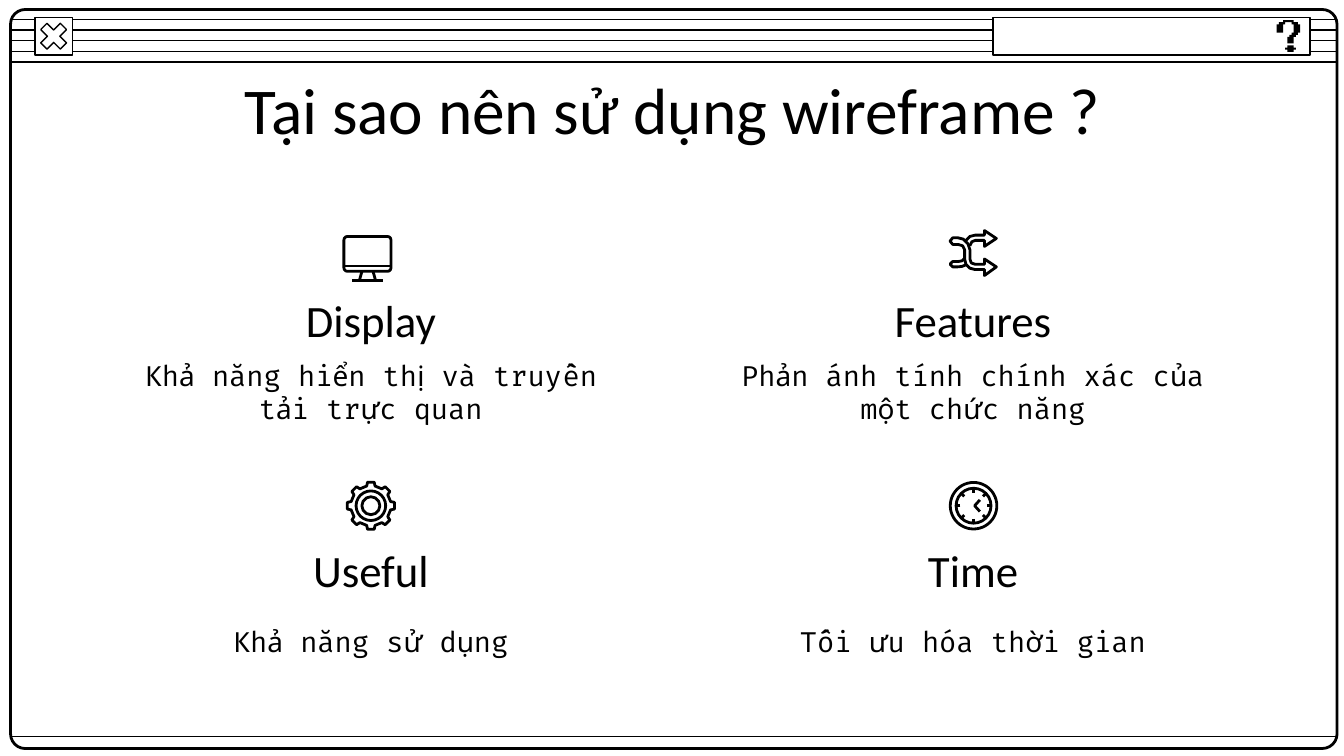
from math import cos, radians, sin

from lxml import etree
from pptx import Presentation
from pptx.dml.color import RGBColor
from pptx.enum.shapes import MSO_CONNECTOR, MSO_SHAPE
from pptx.enum.text import MSO_ANCHOR, MSO_AUTO_SIZE, PP_ALIGN
from pptx.oxml.ns import qn
from pptx.util import Cm, Pt

RECTANGLE = MSO_SHAPE.RECTANGLE
ROUNDED = MSO_SHAPE.ROUNDED_RECTANGLE
OVAL = MSO_SHAPE.OVAL
CROSS = MSO_SHAPE.MATH_MULTIPLY
STRAIGHT = MSO_CONNECTOR.STRAIGHT
CENTER = PP_ALIGN.CENTER
MIDDLE = MSO_ANCHOR.MIDDLE
FIXED_SIZE = MSO_AUTO_SIZE.NONE

BLACK = "000000"
WHITE = "FFFFFF"
HEADING_FONT = "Calibri"
BODY_FONT = "Fira Code"
THIN = 0.75
THICK = 1.5

# Pixel question mark, in pixels
QUESTION_HOOK = [
    (3, 0), (3, 1), (1, 1), (1, 2), (0, 2), (0, 6), (3, 6), (3, 2),
    (4, 2), (4, 1), (7, 1), (7, 2), (8, 2), (8, 6), (7, 6), (7, 7),
    (6, 7), (6, 8), (5, 8), (5, 11), (8, 11), (8, 8), (9, 8), (9, 7),
    (10, 7), (10, 6), (11, 6), (11, 2), (10, 2), (10, 1), (8, 1), (8, 0),
]
QUESTION_DOT = [
    (5, 12), (5, 13), (4, 13), (4, 14), (5, 14), (5, 15),
    (8, 15), (8, 14), (9, 14), (9, 13), (8, 13), (8, 12),
]

# Crossing arrows, in fortieths of a centimetre
FALLING_ARROW = [
    (3, 7), (7, 7), (11, 8), (14.5, 11.5), (16, 16), (16, 23), (17, 26),
    (20, 27), (27, 27), (27, 23), (36, 29), (27, 35.5), (27, 31), (20, 31),
    (16, 30), (13, 27), (12, 23), (12, 16), (10.5, 13), (7, 12), (3, 12),
    (1, 9.5),
]
RISING_HEAD = [
    (13, 9), (16, 6), (20, 5), (27, 5), (27, 1.5), (36, 7.5), (27, 13.5),
    (27, 9), (20, 9), (17.5, 10), (16, 13),
]
RISING_TAIL = [
    (11.5, 23), (10, 24.5), (7, 25), (3, 25), (1, 27), (3, 29), (7, 29),
    (10, 28.7), (13, 27.5),
]

CARDS = [
    ("Display", "Khả năng hiển thị và truyền tải trực quan"),
    ("Features", "Phản ánh tính chính xác của một chức năng"),
    ("Useful", "Khả năng sử dụng"),
    ("Time", "Tối ưu hóa thời gian"),
]


def color(value):
    return RGBColor.from_string(value)


def polar(radius, degrees):
    angle = radians(degrees)
    return radius * cos(angle), radius * sin(angle)


class Painter:
    def __init__(self, slide):
        self.slide = slide

    def paint(self, shape, fill, weight):
        shape.shadow.inherit = False
        if fill:
            shape.fill.solid()
            shape.fill.fore_color.rgb = color(fill)
        else:
            shape.fill.background()
        if weight:
            shape.line.color.rgb = color(BLACK)
            shape.line.width = Pt(weight)
        else:
            shape.line.fill.background()

    def shape(self, kind, left, top, width, height, fill=None, weight=THIN, adjust=None):
        shape = self.slide.shapes.add_shape(
            kind, Cm(left), Cm(top), Cm(width), Cm(height))
        if adjust is not None:
            shape.adjustments[0] = adjust
        self.paint(shape, fill, weight)

    def ring(self, x, y, radius):
        self.shape(OVAL, x - radius, y - radius, 2 * radius, 2 * radius, weight=THICK)

    def line(self, x1, y1, x2, y2, weight=THIN):
        line = self.slide.shapes.add_connector(STRAIGHT, Cm(x1), Cm(y1), Cm(x2), Cm(y2))
        line.line.color.rgb = color(BLACK)
        line.line.width = Pt(weight)
        etree.SubElement(line._element.spPr, qn("a:effectLst"))

    def outline(self, points, left, top, unit=1, fill=None, weight=THICK, close=True):
        points = [(Cm(left + x * unit), Cm(top + y * unit)) for x, y in points]
        builder = self.slide.shapes.build_freeform(*points[0])
        builder.add_line_segments(points[1:], close=close)
        self.paint(builder.convert_to_shape(), fill, weight)

    def set_text(self, box, text, left, top, width, height, size, font):
        box.left, box.top, box.width, box.height = map(Cm, (left, top, width, height))
        frame = box.text_frame
        frame.text = text
        frame.word_wrap = True
        frame.auto_size = FIXED_SIZE
        frame.vertical_anchor = MIDDLE
        frame.margin_left = frame.margin_right = Cm(0.25)
        frame.margin_top = frame.margin_bottom = Cm(0.25)
        para = frame.paragraphs[0]
        para.alignment = CENTER
        span = para.runs[0]
        span.font.size = Pt(size)
        span.font.name = font
        span.font.color.rgb = color(BLACK)

    def title(self, text, *place):
        self.set_text(self.slide.shapes.title, text, *place, 35, HEADING_FONT)

    def text(self, text, *style):
        self.set_text(self.slide.shapes.add_textbox(0, 0, 0, 0), text, *style)

    def monitor(self, left, top):
        self.shape(ROUNDED, left, top, 0.89, 0.66, weight=THICK, adjust=0.1)
        self.line(left, top + 0.56, left + 0.89, top + 0.56, THICK)
        base = top + 0.84
        self.line(left + 0.34, top + 0.66, left + 0.29, base, THICK)
        self.line(left + 0.55, top + 0.66, left + 0.6, base, THICK)
        self.line(left + 0.16, base, left + 0.73, base, THICK)

    def arrows(self, left, top):
        self.outline(FALLING_ARROW, left, top, 0.025)
        for points in (RISING_HEAD, RISING_TAIL):
            self.outline(points, left, top, 0.025, close=False)

    def gear(self, x, y):
        tooth = [(0.38, -12), (0.45, -8), (0.45, 8), (0.38, 12)]
        points = [polar(radius, angle + turn)
                  for angle in range(0, 360, 45) for radius, turn in tooth]
        self.outline(points, x, y)
        self.ring(x, y, 0.28)
        self.ring(x, y, 0.17)

    def clock(self, x, y):
        self.ring(x, y, 0.44)
        self.ring(x, y, 0.33)
        for angle in range(0, 360, 45):
            (x1, y1), (x2, y2) = polar(0.25, angle), polar(0.33, angle)
            self.line(x + x1, y + y1, x + x2, y + y2, THICK)
        self.outline([(0.12, -0.11), (0.02, 0), (0.12, 0.11)], x, y, close=False)


def main():
    deck = Presentation()
    deck.slide_width, deck.slide_height = Cm(25.4), Cm(14.29)
    page = deck.slides.add_slide(deck.slide_layouts[5])
    painter = Painter(page)

    # Window frame and title bar
    for row in range(5):
        y = 0.37 + 0.2 * row
        painter.line(0.2, y, 25.27, y)
    painter.shape(ROUNDED, 0.2, 0.18, 25.07, 13.97, weight=THICK, adjust=0.02)
    painter.line(0.2, 13.92, 25.27, 13.92)

    # Close button and help field
    painter.shape(RECTANGLE, 0.66, 0.33, 0.71, 0.71, WHITE)
    painter.shape(CROSS, 0.66, 0.33, 0.71, 0.71, WHITE, adjust=0.235)
    painter.shape(RECTANGLE, 18.77, 0.33, 5.99, 0.71, WHITE)
    for points in (QUESTION_HOOK, QUESTION_DOT):
        painter.outline(points, 24.13, 0.38, 0.04, BLACK, weight=None)

    # Title
    painter.title("Tại sao nên sử dụng wireframe ?", 2.01, 1.24, 21.41, 1.6)

    # Two by two grid of reasons
    for index, (heading, body) in enumerate(CARDS):
        row, column = divmod(index, 2)
        left, top = 2.01 + 11.38 * column, 5.31 + 4.72 * row
        painter.text(heading, left, top, 10, 1.47, 24, HEADING_FONT)
        painter.text(body, left, top + 1.42, 10, 1.35, 15, BODY_FONT)

    # Icons
    painter.monitor(6.5, 4.47)
    painter.arrows(17.93, 4.32)
    painter.gear(7.01, 9.56)
    painter.clock(18.4, 9.56)

    deck.save("out.pptx")


if __name__ == "__main__":
    main()
